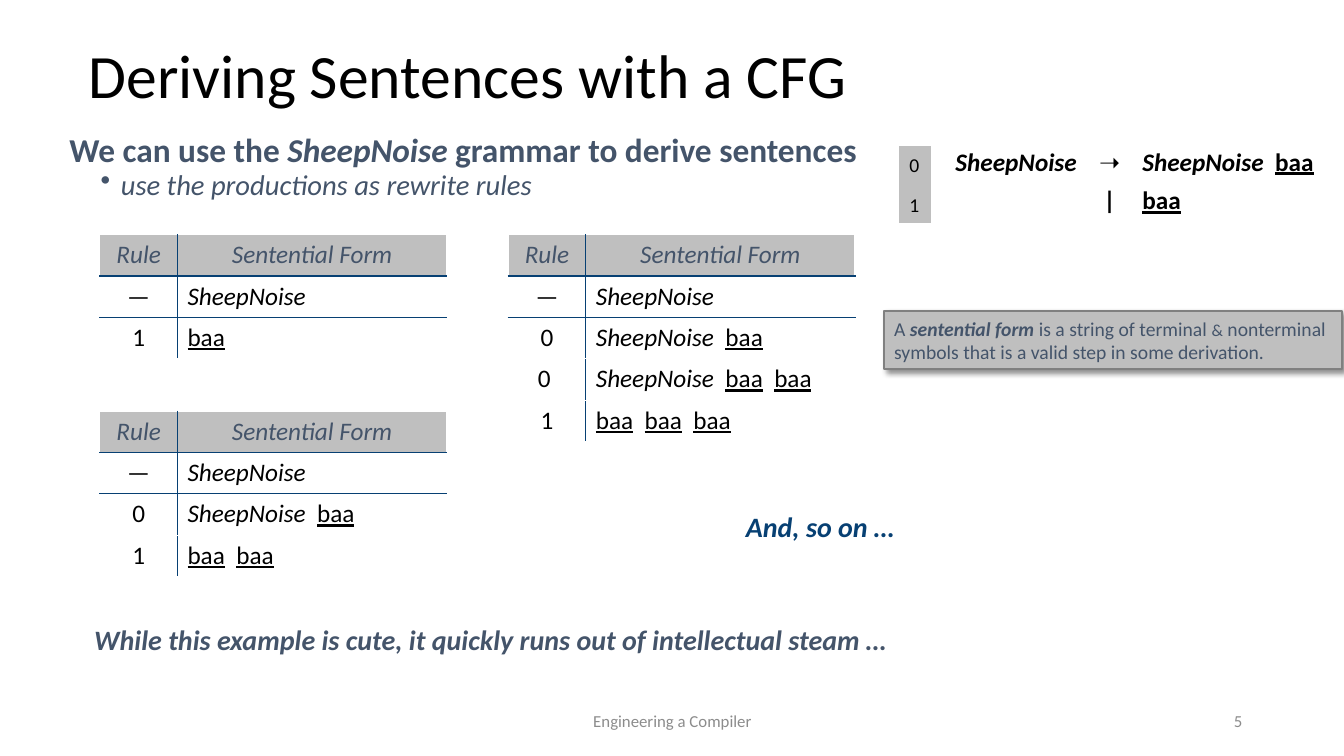
from dataclasses import dataclass

from lxml import etree
from pptx import Presentation
from pptx.dml.color import RGBColor
from pptx.enum.shapes import MSO_SHAPE
from pptx.enum.text import MSO_ANCHOR, PP_ALIGN
from pptx.oxml.ns import qn
from pptx.util import Emu, Inches, Pt

LEFT, CENTER, RIGHT = PP_ALIGN.LEFT, PP_ALIGN.CENTER, PP_ALIGN.RIGHT
TOP, MIDDLE, BOTTOM = MSO_ANCHOR.TOP, MSO_ANCHOR.MIDDLE, MSO_ANCHOR.BOTTOM
RECTANGLE = MSO_SHAPE.RECTANGLE


@dataclass(frozen=True)
class Theme:
    font: str = "Calibri"
    black: str = "000000"
    white: str = "FFFFFF"
    slate: str = "44546A"
    navy: str = "074073"
    panel: str = "BFBFBF"
    edge: str = "808080"
    muted: str = "8C8C8C"
    title: float = 44
    lead: float = 23.8
    sub: float = 20.4
    remark: float = 20
    table: float = 18
    note: float = 14
    small: float = 12


THEME = Theme()

# Content: runs are (text, style), where style holds b, i and u
TITLE = "Deriving Sentences with a CFG"
LEAD = [("We can use the ", "b"), ("SheepNoise ", "bi"), ("grammar to derive sentences", "b")]
SUB = "use the productions as rewrite rules"
NONTERMINAL = "SheepNoise"
HEADINGS = ["Rule", "Sentential Form"]
DERIVATIONS = [  # left, top, steps
    (0.99, 2.33, [("—", "SheepNoise"), ("1", "baa")]),
    (0.99, 4.08, [("—", "SheepNoise"), ("0", "SheepNoise baa"), ("1", "baa baa")]),
    (5.04, 2.33, [("—", "SheepNoise"), ("0", "SheepNoise baa"),
                  ("0 ", "SheepNoise baa baa"), ("1", "baa baa baa")]),
]
GRAMMAR = [("0", "SheepNoise", "➝", "SheepNoise baa"), ("1", "", "|", "baa")]
DEFINITION = [("A ", ""), ("sentential form", "bi"), (" is a string of terminal ", ""),
              ("&", "", THEME.small),
              (" nonterminal symbols that is a valid step in some derivation.", "")]
REMARKS = [  # text, box, colour, alignment
    ("And, so on …", (7.3, 5.01, 2.67, 0.44), THEME.navy, LEFT),
    ("While this example is cute, it quickly runs out of intellectual steam …",
     (0.59, 6.13, 8.55, 0.44), THEME.slate, CENTER),
]
FOOTERS = [("Engineering a Compiler", (4.42, 6.95, 4.5, 0.4), CENTER),
           ("5", (9.42, 6.95, 3, 0.4), RIGHT)]

DERIVATION_COLS, DERIVATION_ROW = (0.77, 2.67), 0.41
GRAMMAR_COLS, GRAMMAR_ROWS = (0.31, 1.55, 0.45, 1.94), (0.36, 0.4)


def rgb(color):
    return RGBColor.from_string(color)


def write(paragraph, text, size=THEME.table, color=THEME.black, style="", align=LEFT,
          spacing=None, before=0):
    """Fill a paragraph with a string or with (text, style[, size]) runs."""
    paragraph.alignment = align
    paragraph.space_before = Pt(before)
    if spacing:
        paragraph.line_spacing = spacing
    for words, marks, *own_size in [(text, style)] if isinstance(text, str) else text:
        run = paragraph.add_run()
        run.text = words
        font = run.font
        font.name, font.size = THEME.font, Pt(own_size[0] if own_size else size)
        font.color.rgb = rgb(color)
        font.bold, font.italic, font.underline = (mark in marks for mark in "biu")


def symbols(form, style=""):
    """Italic nonterminals and underlined terminals, two spaces apart."""
    runs = []
    for symbol in form.split():
        if runs:
            runs.append(("  ", style))
        runs.append((symbol, style + ("i" if symbol == NONTERMINAL else "u")))
    return runs


def add_box(slide, box, anchor=TOP):
    frame = slide.shapes.add_textbox(*map(Inches, box)).text_frame
    frame.word_wrap = True
    frame.vertical_anchor = anchor
    return frame


def add_grid(slide, left, top, cols, rows):
    table = slide.shapes.add_table(len(rows), len(cols), Inches(left), Inches(top),
                                   Inches(sum(cols)), Inches(sum(rows))).table
    table.first_row = table.horz_banding = False
    for column, width in zip(table.columns, cols):
        column.width = Inches(width)
    for row, height in zip(table.rows, rows):
        row.height = Inches(height)
    return table


def paint(cell, filled, borders):
    """Borders come as (colour, points) or None, in the order L, R, T, B."""
    if filled:
        cell.fill.solid()
        cell.fill.fore_color.rgb = rgb(THEME.panel)
    else:
        cell.fill.background()
    properties = cell._tc.get_or_add_tcPr()
    for place, (side, border) in enumerate(zip("LRTB", borders)):
        line = etree.Element(qn(f"a:ln{side}"))
        if border:
            line.set("w", str(Pt(border[1])))
            solid = etree.SubElement(line, qn("a:solidFill"))
            etree.SubElement(solid, qn("a:srgbClr"), val=border[0])
        else:
            etree.SubElement(line, qn("a:noFill"))
        properties.insert(place, line)


def add_derivation(slide, left, top, steps):
    rows = [HEADINGS, *steps]
    table = add_grid(slide, left, top, DERIVATION_COLS, [DERIVATION_ROW] * len(rows))
    blank, thin, thick = (THEME.white, 1), (THEME.navy, 1), (THEME.navy, 1.5)
    rules = [blank, thick, thin] + [blank] * len(steps)  # line above each row
    for r, row in enumerate(rows):
        for c, text in enumerate(row):
            cell = table.cell(r, c)
            header = r == 0
            paint(cell, header, [thin if c else blank, blank if c else thin,
                                 rules[r], rules[r + 1]])
            write(cell.text_frame.paragraphs[0],
                  symbols(text) if c and not header else text,
                  style="i" if header else "",
                  color=THEME.slate if header else THEME.black,
                  align=CENTER if header or c == 0 else LEFT)


def add_grammar(slide):
    table = add_grid(slide, 8.92, 1.45, GRAMMAR_COLS, GRAMMAR_ROWS)
    for r, row in enumerate(GRAMMAR):
        for c, (text, align) in enumerate(zip(row, (LEFT, RIGHT, CENTER, LEFT))):
            cell = table.cell(r, c)
            number = c == 0
            paint(cell, number, [None] * 4)
            cell.vertical_anchor = BOTTOM if number else MIDDLE
            if text:
                write(cell.text_frame.paragraphs[0],
                      symbols(text, "b") if c in (1, 3) else text,
                      size=THEME.note if number else THEME.table,
                      style="" if number else "b", align=align, spacing=Pt(19))


def add_definition(slide):
    panel = slide.shapes.add_shape(RECTANGLE, *map(Inches, (8.77, 3.09, 4.54, 0.57)))
    panel.fill.solid()
    panel.fill.fore_color.rgb = rgb(THEME.panel)
    panel.line.color.rgb = rgb(THEME.edge)
    panel.line.width = Pt(1.5)
    panel.shadow.inherit = False
    effects = panel._element.spPr.find(qn("a:effectLst"))
    shadow = etree.SubElement(effects, qn("a:outerShdw"), blurRad=str(Pt(4)),
                              dist=str(Pt(3)), dir=str(45 * 60000), rotWithShape="0")
    shade = etree.SubElement(shadow, qn("a:srgbClr"), val=THEME.black)
    etree.SubElement(shade, qn("a:alpha"), val="43000")
    frame = panel.text_frame
    frame.word_wrap = True
    frame.vertical_anchor = TOP
    write(frame.paragraphs[0], DEFINITION, size=THEME.note, color=THEME.slate)


def main():
    deck = Presentation()
    deck.slide_width, deck.slide_height = Inches(13.33), Inches(7.5)
    slide = deck.slides.add_slide(deck.slide_layouts[5])

    # Title
    title = slide.shapes.title
    title.left, title.top, title.width, title.height = map(Inches, (0.78, 0.05, 11.5, 1.45))
    title.text_frame.vertical_anchor = MIDDLE
    write(title.text_frame.paragraphs[0], TITLE, size=THEME.title, spacing=0.9)

    # Lead sentence and its bullet
    body = add_box(slide, (0.59, 1.31, 8.55, 0.94))
    write(body.paragraphs[0], LEAD, size=THEME.lead, color=THEME.slate, spacing=0.8, before=10)
    bullet = body.add_paragraph()
    write(bullet, SUB, size=THEME.sub, color=THEME.slate, style="i", spacing=0.8, before=3)
    indent = bullet._p.get_or_add_pPr()
    indent.set("marL", str(Inches(0.51)))
    indent.set("indent", str(Emu(-Inches(0.2))))
    etree.SubElement(indent, qn("a:buChar"), char="•")

    # Derivations, grammar and definition
    for left, top, steps in DERIVATIONS:
        add_derivation(slide, left, top, steps)
    add_grammar(slide)
    add_definition(slide)

    # Remarks and footer
    for text, box, color, align in REMARKS:
        write(add_box(slide, box).paragraphs[0], text, size=THEME.remark, color=color,
              style="bi", align=align)
    for text, box, align in FOOTERS:
        write(add_box(slide, box, MIDDLE).paragraphs[0], text, size=THEME.small,
              color=THEME.muted, align=align)

    deck.save("out.pptx")


if __name__ == "__main__":
    main()
